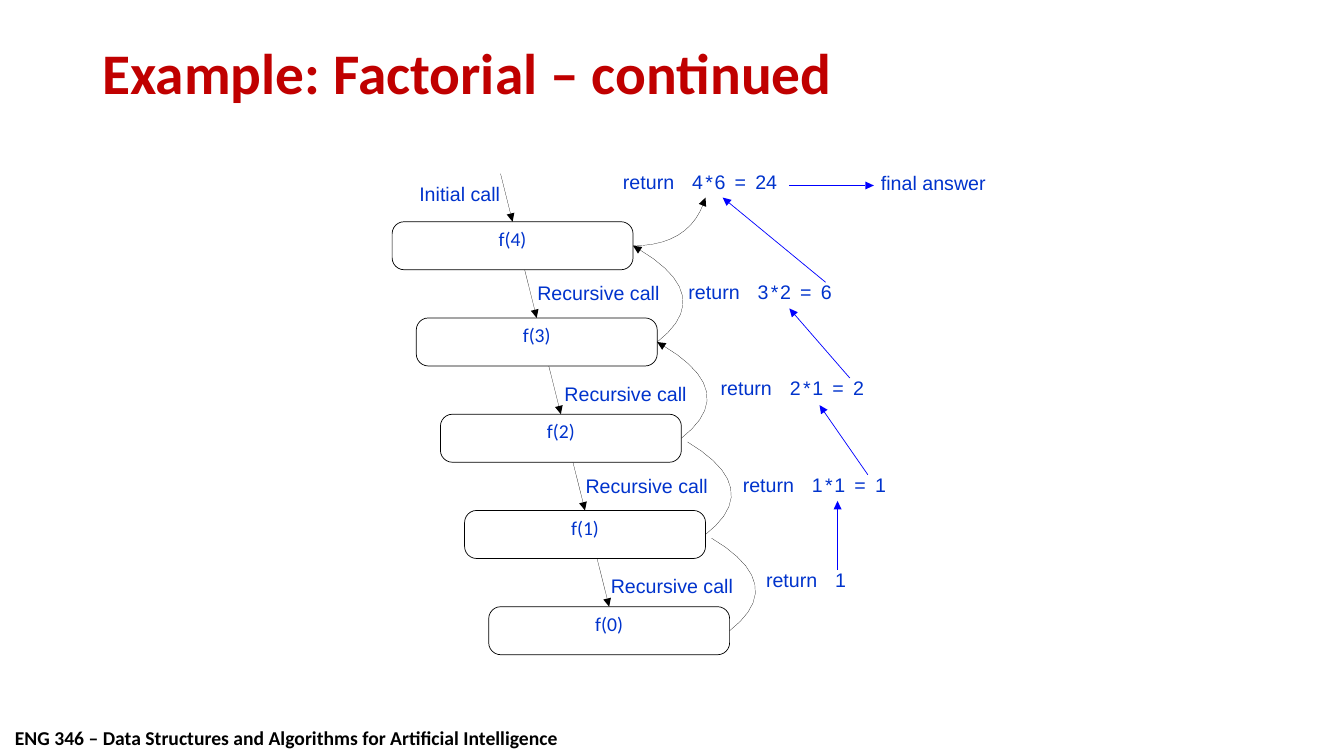
"""Build a slide tracing the recursive calls and returns of factorial."""
import math

from lxml import etree
from pptx import Presentation
from pptx.dml.color import RGBColor
from pptx.enum.shapes import MSO_CONNECTOR, MSO_SHAPE
from pptx.enum.text import MSO_ANCHOR, PP_ALIGN
from pptx.oxml.ns import qn
from pptx.util import Pt

STRAIGHT = MSO_CONNECTOR.STRAIGHT
ROUNDED = MSO_SHAPE.ROUNDED_RECTANGLE
TOP, MIDDLE = MSO_ANCHOR.TOP, MSO_ANCHOR.MIDDLE
LEFT, CENTER = PP_ALIGN.LEFT, PP_ALIGN.CENTER

COLORS = {"title": "C00000", "text": "0033CC", "result": "0000FF",
          "ink": "000000", "box": "FFFFFF"}
TITLE = "Example: Factorial – continued"
FOOTER = "ENG 346 – Data Structures and Algorithms for Artificial Intelligence"
CALLS = ["f(4)", "f(3)", "f(2)", "f(1)", "f(0)"]
LABELS = [("Initial call", 299.5, 129.6, 62), ("Recursive call", 383.8, 200.9, 92),
          ("Recursive call", 403.2, 272.9, 92), ("Recursive call", 418.3, 338.4, 92),
          ("Recursive call", 436.3, 409.7, 92), ("final answer", 629.3, 122.4, 80)]
RETURNS = [(445, 121.7, ["return", "4", "*", "6", "=", "24"]),
           (491.8, 200.2, ["return", "3", "*", "2", "=", "6"]),
           (514.8, 268.6, ["return", "2", "*", "1", "=", "2"]),
           (530.6, 337.7, ["return", "1", "*", "1", "=", "1"]),
           (547.2, 405.4, ["return", "1"])]
TOKEN_COLUMNS = [(0, 40.3), (49.4, 7.9), (58.8, 5.8), (65.5, 11.5), (79.7, 12.2), (94.5, 15.8)]
RESULT_ARROWS = [((598.3, 406.8), (598.3, 357.8), 0.5), ((619.9, 339.1), (585.4, 289.4), 0.5),
                 ((607, 270), (563.8, 220.3), 0.5), ((589.7, 201.6), (516.2, 141.1), 0.5),
                 ((563.8, 132.5), (624.2, 132.5), 0.13)]

BOX_LEFT, BOX_TOP, BOX_WIDTH, BOX_HEIGHT = 280.1, 158.4, 172.1, 34.3
STEP_X, STEP_Y = 17.25, 68.75
THIN, HEAD_LENGTH, HEAD_HALF = 0.13, 6, 2.8
FINAL_TIP = (504, 141.1)
HEADED_RETURNS = (1, 2)


def rgb(name):
    return RGBColor.from_string(COLORS[name])


def write(shape, text, size, font, color, bold=False, align=LEFT, anchor=TOP,
          inset=(0, 0), wrap=False):
    frame = shape.text_frame
    frame.margin_left = frame.margin_right = Pt(inset[0])
    frame.margin_top = frame.margin_bottom = Pt(inset[1])
    frame.word_wrap, frame.vertical_anchor = wrap, anchor
    frame.text = text
    paragraph = frame.paragraphs[0]
    paragraph.alignment = align
    style = paragraph.runs[0].font
    style.size, style.name, style.bold = Pt(size), font, bold
    style.color.rgb = rgb(color)
    return paragraph


def add_label(slide, text, left, top, width):
    label = slide.shapes.add_textbox(Pt(left), Pt(top), Pt(width), Pt(16.6))
    write(label, text, 14, "Arial", "text")


def add_outline(slide, points, color, closed):
    start, *rest = [(Pt(x), Pt(y)) for x, y in points]
    builder = slide.shapes.build_freeform(*start)
    builder.add_line_segments(rest, close=closed)
    outline = builder.convert_to_shape()
    outline.shadow.inherit = False
    if closed:
        outline.fill.solid()
        outline.fill.fore_color.rgb = rgb(color)
        outline.line.fill.background()
    else:
        outline.fill.background()
        outline.line.color.rgb = rgb(color)
        outline.line.width = Pt(THIN)


def add_head(slide, origin, tip, color):
    angle = math.atan2(tip[1] - origin[1], tip[0] - origin[0])
    dx, dy = math.cos(angle), math.sin(angle)
    base = (tip[0] - HEAD_LENGTH * dx, tip[1] - HEAD_LENGTH * dy)
    corners = [(base[0] - side * dy, base[1] + side * dx) for side in (HEAD_HALF, -HEAD_HALF)]
    add_outline(slide, [corners[0], tip, corners[1]], color, True)
    return base


def add_arrow(slide, start, tip, color, width):
    end = add_head(slide, start, tip, color)
    shaft = slide.shapes.add_connector(STRAIGHT, *[Pt(v) for v in (*start, *end)])
    shaft.line.color.rgb = rgb(color)
    shaft.line.width = Pt(width)
    etree.SubElement(shaft._element.spPr, qn("a:effectLst"))


def add_curve(slide, start, control, end, tip=None):
    points = []
    for step in range(11):
        t = step / 10
        points.append(tuple((1 - t) ** 2 * a + 2 * t * (1 - t) * b + t ** 2 * c
                            for a, b, c in zip(start, control, end)))
    add_outline(slide, points, "ink", False)
    if tip:
        add_head(slide, points[-2], tip, "ink")


def add_call(slide, index, name):
    left, top = BOX_LEFT + index * STEP_X, BOX_TOP + index * STEP_Y
    box = slide.shapes.add_shape(ROUNDED, Pt(left), Pt(top), Pt(BOX_WIDTH), Pt(BOX_HEIGHT))
    box.adjustments[0] = 0.25
    box.shadow.inherit = False
    box.fill.solid()
    box.fill.fore_color.rgb = rgb("box")
    box.line.color.rgb = rgb("ink")
    box.line.width = Pt(0.5)
    write(box, name, 14, "Calibri", "text", align=CENTER, inset=(7.2, 1.1), wrap=True)

    tip = (left + BOX_WIDTH / 2, top)
    add_arrow(slide, (tip[0] - 8.6, top - BOX_HEIGHT), tip, "ink", THIN)

    x, y = left + BOX_WIDTH, top + BOX_HEIGHT / 2
    if index == 0:
        add_curve(slide, (x, y), (x + 39, y), (x + 50.4, y - 30.2), FINAL_TIP)
    else:
        caller = (x - STEP_X, y - STEP_Y) if index in HEADED_RETURNS else None
        add_curve(slide, (x, y), (x + 42.5, y - 33.1), (x - 13, y - 66.2), caller)


def main():
    deck = Presentation()
    deck.slide_width, deck.slide_height = Pt(960), Pt(540)
    slide = deck.slides.add_slide(deck.slide_layouts[6])

    footer = slide.shapes.add_textbox(Pt(3.6), Pt(514.8), Pt(405.4), Pt(23.8))
    write(footer, FOOTER, 14, "Calibri", "ink", bold=True, inset=(7.2, 3.6))
    title = slide.shapes.add_textbox(Pt(66.2), Pt(28.8), Pt(828), Pt(50.4))
    heading = write(title, TITLE, 41, "Calibri", "title", bold=True, anchor=MIDDLE,
                    inset=(7.2, 3.6), wrap=True)
    heading.line_spacing = 0.9

    for index, name in enumerate(CALLS):
        add_call(slide, index, name)
    for label in LABELS:
        add_label(slide, *label)
    for left, top, tokens in RETURNS:
        for token, (offset, width) in zip(tokens, TOKEN_COLUMNS):
            add_label(slide, token, left + offset, top, width)
    for start, tip, width in RESULT_ARROWS:
        add_arrow(slide, start, tip, "result", width)

    deck.save("out.pptx")


if __name__ == "__main__":
    main()
